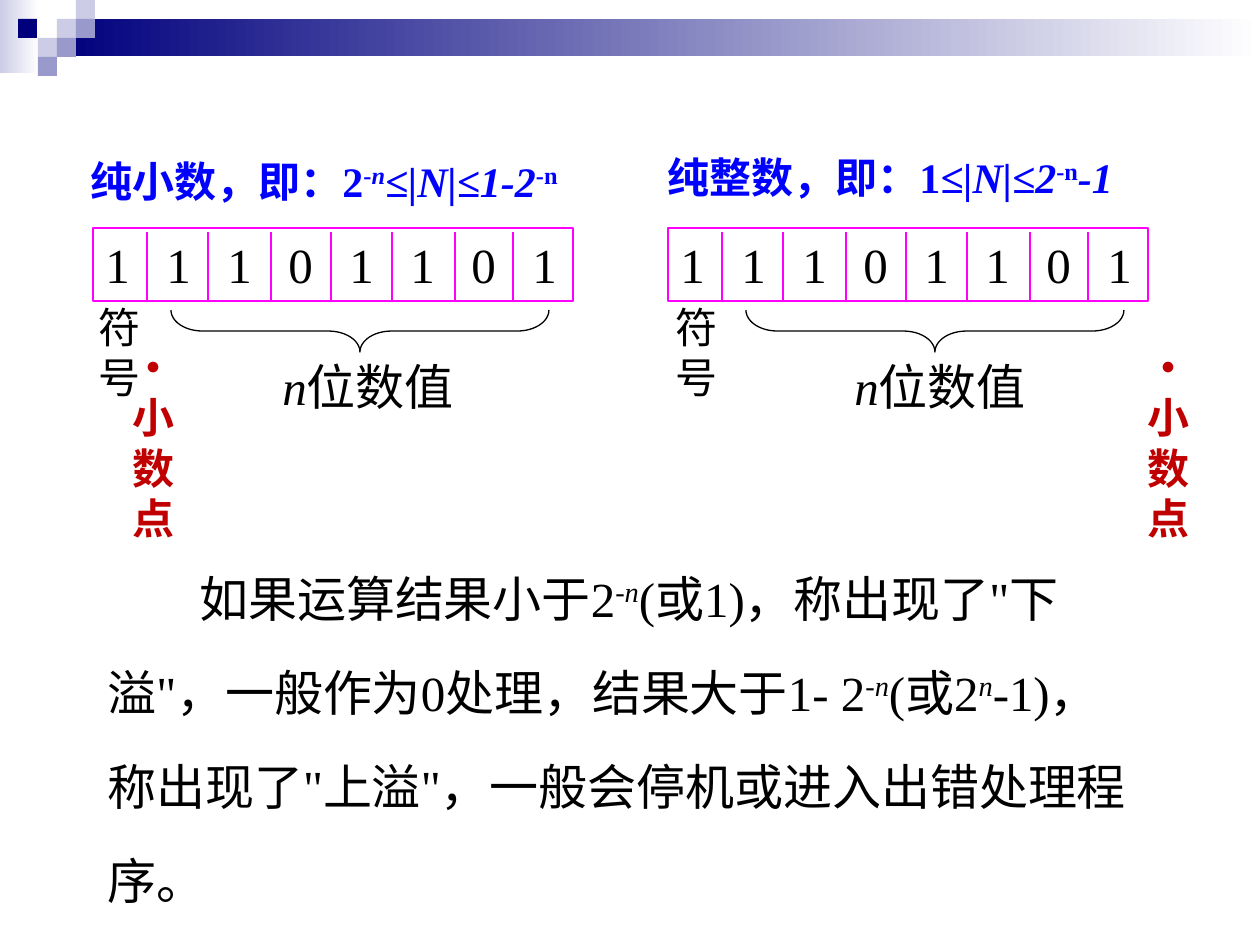
from pptx import Presentation
from pptx.dml.color import RGBColor
from pptx.enum.shapes import MSO_CONNECTOR, MSO_SHAPE
from pptx.enum.text import MSO_ANCHOR, PP_ALIGN
from pptx.oxml.ns import qn
from pptx.util import Emu, Pt
from lxml import etree

RECT, BRACE = MSO_SHAPE.RECTANGLE, MSO_SHAPE.LEFT_BRACE
STRAIGHT = MSO_CONNECTOR.STRAIGHT
TOP, LEFT = MSO_ANCHOR.TOP, PP_ALIGN.LEFT
FONT = "Times New Roman"
PX = 914400 / 126

BLACK = RGBColor(0x00, 0x00, 0x00)
WHITE = RGBColor(0xFF, 0xFF, 0xFF)
BLUE = RGBColor(0x00, 0x00, 0xFF)
RED = RGBColor(0xC0, 0x00, 0x00)
MAGENTA = RGBColor(0xFF, 0x00, 0xFF)
NAVY = RGBColor(0x00, 0x00, 0x7D)
LILAC = RGBColor(0xCC, 0xCC, 0xE6)
VIOLET = RGBColor(0x99, 0x99, 0xCC)

# Content: runs are (text, style), with i for italic and ^ for superscript
BANDS = [((0, 0, 39, 73), LILAC), ((57, 19, 1203, 37), NAVY)]
TILE = 19
TILES = [(57, 19, LILAC), (76, 0, LILAC), (76, 19, VIOLET), (38, 38, LILAC),
         (18, 19, NAVY), (57, 38, VIOLET), (38, 57, VIOLET)]

BITS = "11101101"
BIT_PITCH = 61
DIVIDERS = [54, 115, 178, 238, 299, 362, 420]
PANELS = [
    {"word_x": 93, "sign_x": 86, "point_x": 120, "value_x": 270,
     "heading_at": (78, 149),
     "heading": [("纯小数，即：2", ""), ("-", "^"), ("n", "i^"),
                 ("≤|N|≤1-2", "i"), ("-n", "^")]},
    {"word_x": 668, "sign_x": 663, "point_x": 1135, "value_x": 842,
     "heading_at": (655, 145),
     "heading": [("纯整数，即：1", ""), ("≤|N|≤2", "i"), ("-n", "^"),
                 ("-1", "i")]},
]
SIGN = [("符号", "")]
POINT = [(" •小数点", "")]
VALUE = [("n", "i"), ("位数值", "")]
OVERFLOW_RULE = [
    ("如果运算结果小于2", ""), ("-n", "i^"),
    ("(或1)，称出现了\"下溢\"，一般作为0处理，结果大于1- 2", ""), ("-n", "i^"),
    ("(或2", ""), ("n", "i^"), ("-", "i"),
    ("1)，称出现了\"上溢\"，一般会停机或进入出错处理程序。", ""),
]


def px(*lengths):
    return [Emu(round(length * PX)) for length in lengths]


def write(shape, runs, size=28, color=BLACK, bold=False, wrap=True,
          spacing=None, indent=0, tab_stops=()):
    frame = shape.text_frame
    frame.word_wrap = wrap
    frame.vertical_anchor = TOP
    paragraph = frame.paragraphs[0]
    paragraph.alignment = LEFT
    if spacing:
        paragraph.line_spacing = spacing
    properties = paragraph._p.get_or_add_pPr()
    if indent:
        properties.set("indent", str(px(indent)[0]))
    if tab_stops:
        tabs = etree.SubElement(properties, qn("a:tabLst"))
        for stop in px(*tab_stops):
            etree.SubElement(tabs, qn("a:tab"), pos=str(stop), algn="l")
    for text, style in runs:
        run = paragraph.add_run()
        run.text = text
        run.font.name = FONT
        run.font.size = Pt(size)
        run.font.bold = bold
        run.font.italic = "i" in style
        run.font.color.rgb = color
        if "^" in style:
            run._r.get_or_add_rPr().set("baseline", "30000")


def add_text(slide, box, runs, **style):
    write(slide.shapes.add_textbox(*px(*box)), runs, **style)


def add_outline(slide, kind, box, color):
    shape = slide.shapes.add_shape(kind, *px(*box))
    shape.shadow.inherit = False
    shape.fill.background()
    shape.line.color.rgb = color
    shape.line.width = Pt(0.75)
    return shape


def add_block(slide, box, color, fade=False):
    block = slide.shapes.add_shape(RECT, *px(*box))
    block.shadow.inherit = False
    block.line.fill.background()
    if fade:
        block.fill.gradient()
        block.fill.gradient_angle = 0
        for stop, shade, position in zip(block.fill.gradient_stops,
                                         (color, WHITE), (0, 1)):
            stop.color.rgb = shade
            stop.position = position
    else:
        block.fill.solid()
        block.fill.fore_color.rgb = color


def add_divider(slide, x):
    divider = slide.shapes.add_connector(STRAIGHT, *px(x, 232, x, 302))
    divider.line.color.rgb = MAGENTA
    divider.line.width = Pt(0.75)
    etree.SubElement(divider._element.spPr, qn("a:effectLst"))


def add_panel(slide, panel):
    # Machine word with its bit cells
    word_x = panel["word_x"]
    word = add_outline(slide, RECT, (word_x, 228, 480, 73), MAGENTA)
    write(word, [("\t".join(BITS), "")], wrap=False,
          tab_stops=[BIT_PITCH * n for n in range(1, len(BITS))])
    for offset in DIVIDERS:
        add_divider(slide, word_x + offset)

    # Sign, radix point and value labels
    add_text(slide, (panel["sign_x"], 295, 66, 113), SIGN, size=24)
    add_text(slide, (panel["point_x"], 285, 66, 217), POINT,
             size=24, color=RED, bold=True)
    brace = add_outline(slide, BRACE, (word_x + 246, 142, 42, 378), BLACK)
    brace.rotation = 270
    brace.adjustments[0] = 0.75
    add_text(slide, (panel["value_x"], 350, 197, 72), VALUE)

    # Range heading
    add_text(slide, (*panel["heading_at"], 537, 64), panel["heading"],
             size=24, color=BLUE, bold=True)


def main():
    deck = Presentation()
    deck.slide_width, deck.slide_height = px(1260, 945)
    slide = deck.slides.add_slide(deck.slide_layouts[6])

    # Top decoration
    for box, color in BANDS:
        add_block(slide, box, color, fade=True)
    for x, y, color in TILES:
        add_block(slide, (x, y, TILE, TILE), color)

    for panel in PANELS:
        add_panel(slide, panel)

    # Underflow and overflow rule
    add_text(slide, (95, 527, 1056, 295), OVERFLOW_RULE,
             spacing=1.6, indent=92)

    deck.save("out.pptx")


if __name__ == "__main__":
    main()
